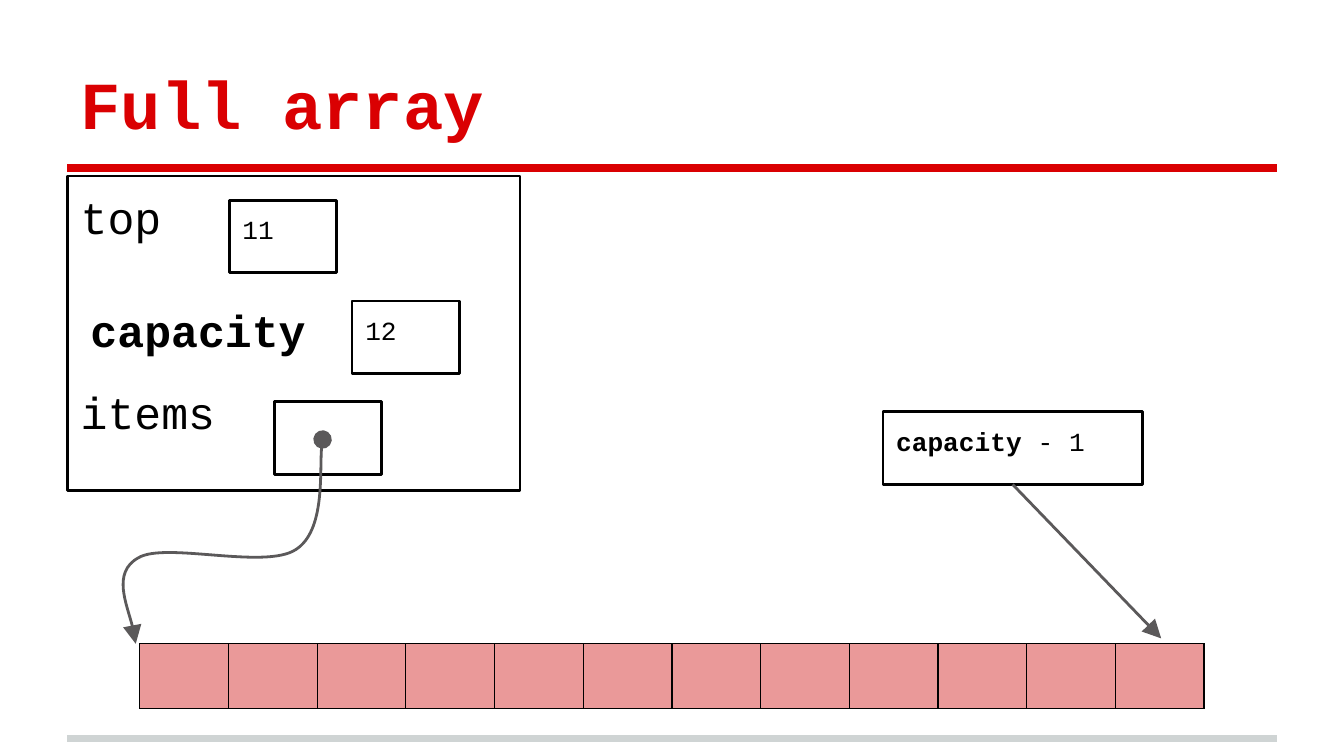
from dataclasses import dataclass

from lxml import etree
from pptx import Presentation
from pptx import util as u
from pptx.dml.color import RGBColor
from pptx.enum import shapes, text
from pptx.oxml import parse_xml
from pptx.oxml.ns import nsdecls, qn

PX = 4572
INSET = 20


@dataclass(frozen=True)
class Theme:
    font: str = "Courier New"
    red: str = "DA0002"
    gray: str = "CFD4D4"
    ink: str = "000000"
    arrow: str = "5B595A"
    cell: str = "EA9999"
    title_size: int = 36
    body_size: int = 24
    cell_size: int = 18
    value_size: int = 14
    rule_width: float = 4
    line_width: float = 1.5
    border_width: float = 0.75


THEME = Theme()


def px(*lengths):
    return [u.Emu(length * PX) for length in lengths]


def place(shape, bounds):
    shape.left, shape.top, shape.width, shape.height = px(*bounds)


def set_line(shape, color, width=THEME.line_width):
    shape.line.color.rgb = RGBColor.from_string(color)
    shape.line.width = u.Pt(width)


def set_margins(holder):
    for side in ("left", "top", "right", "bottom"):
        setattr(holder, f"margin_{side}", u.Emu(INSET * PX))


def set_frame(shape, anchor=text.MSO_ANCHOR.TOP):
    frame = shape.text_frame
    frame.word_wrap = True
    frame.auto_size = text.MSO_AUTO_SIZE.NONE
    frame.vertical_anchor = anchor
    set_margins(frame)
    return frame


def format_paragraph(paragraph, size, color=THEME.ink, bold=False, before=0):
    paragraph.alignment = text.PP_ALIGN.LEFT
    paragraph.line_spacing = 1.0
    paragraph.space_before = u.Pt(before)
    font = paragraph.font
    font.name, font.size, font.bold = THEME.font, u.Pt(size), bold
    font.color.rgb = RGBColor.from_string(color)


def add_arrowheads(shape, **ends):
    line = shape.line._get_or_add_ln()
    for end, kind in ends.items():
        etree.SubElement(line, qn(f"a:{end}"), type=kind, w="lg", len="lg")


def add_line(slide, start, end, color, width=THEME.line_width):
    line = slide.shapes.add_connector(shapes.MSO_CONNECTOR.STRAIGHT, *px(*start, *end))
    set_line(line, color, width)
    etree.SubElement(line._element.spPr, qn("a:effectLst"))
    return line


def add_title(slide, wording, bounds):
    title = slide.shapes.title
    place(title, bounds)
    frame = set_frame(title, text.MSO_ANCHOR.BOTTOM)
    frame.text = wording
    format_paragraph(frame.paragraphs[0], THEME.title_size, THEME.red, bold=True)


def add_fields(slide, fields, bounds):
    body = slide.placeholders[1]
    place(body, bounds)
    set_line(body, THEME.ink)
    frame = set_frame(body)
    frame.text = "\n".join(name for name, _ in fields)
    for paragraph, (_, before) in zip(frame.paragraphs, fields):
        format_paragraph(paragraph, THEME.body_size, before=before)
        properties = paragraph._p.get_or_add_pPr()
        properties.set("marL", "0")
        properties.set("indent", "0")
        properties.insert_element_before(
            parse_xml(f"<a:buNone {nsdecls('a')}/>"), "a:tabLst", "a:defRPr", "a:extLst")


def add_box(slide, bounds, wording="", bold_part=""):
    box = slide.shapes.add_shape(shapes.MSO_SHAPE.RECTANGLE, *px(*bounds))
    box.shadow.inherit = False
    box.fill.background()
    set_line(box, THEME.ink)
    paragraph = set_frame(box).paragraphs[0]
    format_paragraph(paragraph, THEME.value_size)
    for part, bold in ((bold_part, True), (wording, False)):
        if part:
            run = paragraph.add_run()
            run.text, run.font.bold = part, bold
    return box


def add_label(slide, wording, bounds):
    label = slide.shapes.add_textbox(*px(*bounds))
    frame = set_frame(label)
    frame.text = wording
    format_paragraph(frame.paragraphs[0], THEME.body_size, bold=True)


def set_borders(cell):
    properties = cell._tc.get_or_add_tcPr()
    for index, side in enumerate(("lnL", "lnR", "lnT", "lnB")):
        properties.insert(index, parse_xml(
            f'<a:{side} {nsdecls("a")} w="{u.Pt(THEME.border_width)}"><a:solidFill>'
            f'<a:srgbClr val="{THEME.ink}"/></a:solidFill></a:{side}>'))


def add_array(slide, left, top, count, cell_width, height):
    bounds = px(left, top, count * cell_width, height)
    table = slide.shapes.add_table(1, count, *bounds).table
    table.first_row = table.horz_banding = False
    for column in table.columns:
        column.width = px(cell_width)[0]
    for cell in table.iter_cells():
        set_margins(cell)
        format_paragraph(cell.text_frame.paragraphs[0], THEME.cell_size)
        cell.fill.solid()
        cell.fill.fore_color.rgb = RGBColor.from_string(THEME.cell)
        set_borders(cell)


def add_curve(slide, start, controls):
    builder = slide.shapes.build_freeform(*start, scale=PX)
    builder.add_line_segments(controls, close=False)
    curve = builder.convert_to_shape()
    segments = list(curve._element.iter(qn("a:lnTo")))
    for first in range(0, len(segments), 3):
        bezier = etree.Element(qn("a:cubicBezTo"))
        segments[first].addprevious(bezier)
        for segment in segments[first:first + 3]:
            bezier.append(segment[0])
            segment.getparent().remove(segment)
    curve.shadow.inherit = False
    curve.fill.background()
    set_line(curve, THEME.arrow)
    add_arrowheads(curve, headEnd="oval", tailEnd="triangle")


def main():
    presentation = Presentation()
    presentation.slide_width, presentation.slide_height = px(2000, 1125)
    slide = presentation.slides.add_slide(presentation.slide_layouts[1])

    for y, color in ((1099, THEME.gray), (250, THEME.red)):
        add_line(slide, (100, y), (1900, y), color, THEME.rule_width)
    add_title(slide, "Full array", (100, 45, 1800, 188))
    add_fields(slide, (("top", 6), ("items", 76)), (100, 262, 674, 468))

    for left, top, value in ((341, 298, "11"), (408, 598, "")):
        add_box(slide, (left, top, 160, 108), value)
    add_array(slide, 208, 958, count=12, cell_width=132, height=84)
    add_curve(slide, (480, 654), (
        (474, 682), (484, 790), (440, 818),
        (394, 848), (246, 806), (206, 830),
        (166, 852), (202, 936), (202, 958)))

    last_index = add_box(slide, (1314, 613, 386, 108), " - 1", bold_part="capacity")
    pointer = add_line(slide, (1507, 721), (1728, 950), THEME.arrow)
    pointer.begin_connect(last_index, 2)
    add_arrowheads(pointer, tailEnd="triangle")

    add_label(slide, "capacity", (115, 430, 386, 108))
    add_box(slide, (524, 448, 160, 108), "12")

    presentation.save("out.pptx")


if __name__ == "__main__":
    main()
